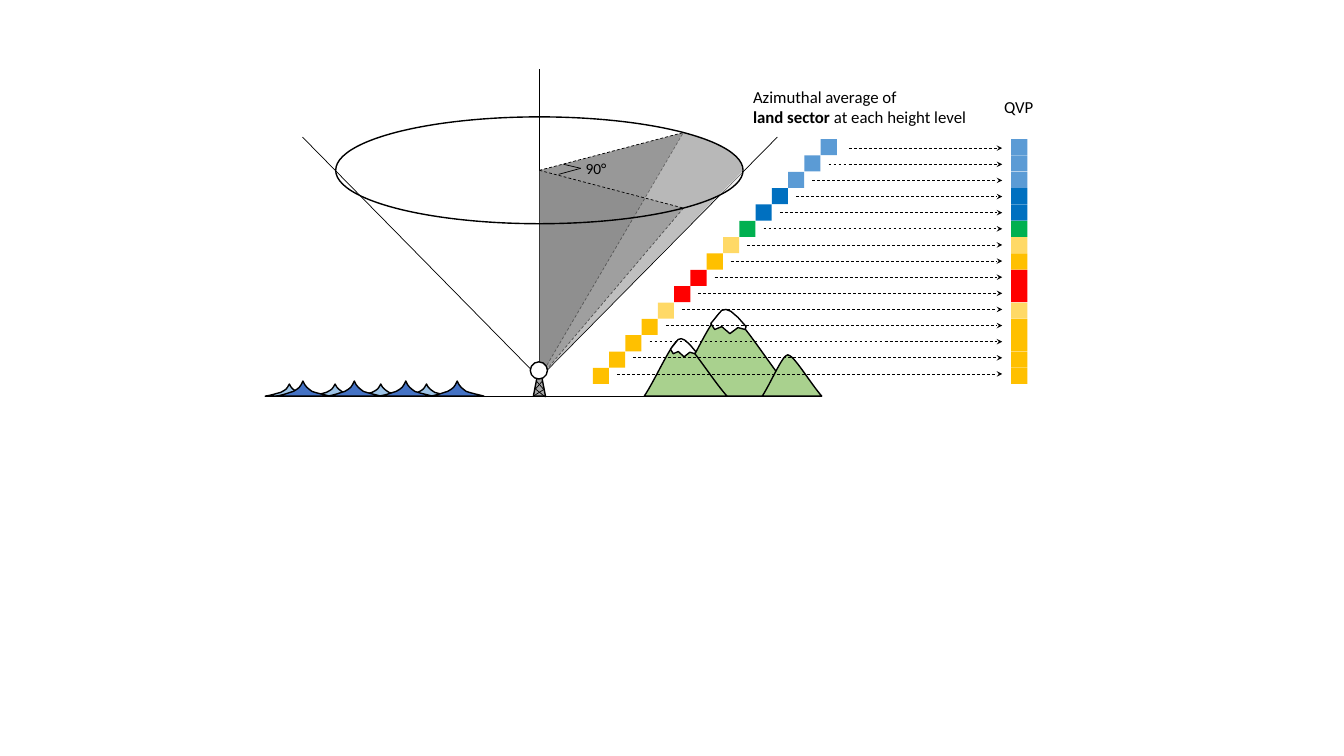
import math

from lxml import etree
from pptx import Presentation
from pptx.dml.color import RGBColor
from pptx.enum import dml, shapes, text
from pptx.oxml import ns
from pptx.util import Inches, Pt

BLACK = RGBColor(0x00, 0x00, 0x00)
WHITE = RGBColor(0xFF, 0xFF, 0xFF)
PALE_GREY = RGBColor(0xE7, 0xE6, 0xE6)
MAST_GREY = RGBColor(0xA6, 0xA6, 0xA6)
MID_GREY = RGBColor(0x80, 0x80, 0x80)
DARK_GREY = RGBColor(0x40, 0x40, 0x40)
LAND_GREEN = RGBColor(0xA9, 0xD1, 0x8E)
PALE_WAVE = RGBColor(0x9D, 0xC3, 0xE6)
DEEP_WAVE = RGBColor(0x44, 0x72, 0xC4)
SKY = RGBColor(0x5B, 0x9B, 0xD5)
BLUE = RGBColor(0x00, 0x70, 0xC0)
GREEN = RGBColor(0x00, 0xB0, 0x50)
YELLOW = RGBColor(0xFF, 0xD9, 0x66)
AMBER = RGBColor(0xFF, 0xC0, 0x00)
RED = RGBColor(0xFF, 0x00, 0x00)

FONT = "Calibri"
GROUND = 3.93
AXIS_X, RIM_Y = 5.35, 1.69
RIM_RADIUS_X, RIM_RADIUS_Y = 2.02, 0.53
LEVELS = [SKY] * 3 + [BLUE] * 2 + [GREEN, YELLOW, AMBER] + [RED] * 2 + [YELLOW] + [AMBER] * 4
CELL = 0.16

MOUNTAIN = [(0, 1), (0.15, 0.67, 0.34, 0, 0.43, 0), (0.53, 0, 0.8, 0.67, 1, 1)]
SNOW = [(0, 0.58), (0.11, 0.83), (0.31, 0.71), (0.54, 1), (0.77, 0.75), (0.97, 0.83), (1, 0.71),
        (0.77, 0.33), (0.57, 0.08), (0.43, 0), (0.31, 0.04), (0.23, 0.17), (0.09, 0.42)]
WAVE = [(0, 1), (0.18, 0.88, 0.19, 0.82, 0.32, 0.69), (0.44, 0.44, 0.44, 0.44, 0.5, 0),
        (0.54, 0.38, 0.6, 0.5, 0.67, 0.69), (0.78, 0.82, 0.87, 0.88, 1, 1)]


def paint(shape, fill=None, outlined=True, opacity=None):
    shape.shadow.inherit = False
    if fill is None:
        shape.fill.background()
    else:
        shape.fill.solid()
        shape.fill.fore_color.rgb = fill
    if opacity is not None:
        color = shape.fill._xPr.find(".//" + ns.qn("a:srgbClr"))
        etree.SubElement(color, ns.qn("a:alpha")).set("val", str(opacity * 1000))
    if outlined:
        shape.line.color.rgb = BLACK
        shape.line.width = Pt(1)
    else:
        shape.line.fill.background()


def bend_segments(shape, outline):
    segments = iter(shape._element.findall(".//" + ns.qn("a:lnTo")))
    for part in outline[1:]:
        first = next(segments)
        if len(part) == 6:
            first.tag = ns.qn("a:cubicBezTo")
            for _ in range(2):
                following = next(segments)
                first.append(following[0])
                following.getparent().remove(following)


def add_outline(page, outline, fill, frame=(0, 0, 1, 1), outlined=True, opacity=None):
    left, top, width, height = frame
    places = [(Inches(left + x * width), Inches(top + y * height))
              for part in outline for x, y in zip(part[::2], part[1::2])]
    builder = page.shapes.build_freeform(*places[0])
    builder.add_line_segments(places[1:], close=True)
    shape = builder.convert_to_shape()
    bend_segments(shape, outline)
    paint(shape, fill, outlined, opacity)


def add_figure(page, kind, frame, fill=None, outlined=True):
    shape = page.shapes.add_shape(kind, *map(Inches, frame))
    paint(shape, fill, outlined)


def add_line(page, start, end, dashed=False, arrow=False):
    line = page.shapes.add_connector(shapes.MSO_CONNECTOR.STRAIGHT, *map(Inches, start + end))
    line.line.color.rgb = BLACK
    line.line.width = Pt(0.5)
    if dashed:
        line.line.dash_style = dml.MSO_LINE.DASH
    if arrow:
        head = etree.SubElement(line.line._get_or_add_ln(), ns.qn("a:tailEnd"))
        for name, value in (("type", "stealth"), ("w", "sm"), ("len", "sm")):
            head.set(name, value)
    etree.SubElement(line._element.spPr, ns.qn("a:effectLst"))


def add_label(page, frame, paragraphs, size, wrap=False):
    box = page.shapes.add_textbox(*map(Inches, frame))
    box.text_frame.word_wrap = wrap
    box.text_frame.auto_size = text.MSO_AUTO_SIZE.SHAPE_TO_FIT_TEXT
    for index, spans in enumerate(paragraphs):
        para = box.text_frame.paragraphs[0] if index == 0 else box.text_frame.add_paragraph()
        for words, bold in spans:
            span = para.add_run()
            span.text = words
            span.font.name = FONT
            span.font.size = Pt(size)
            span.font.bold = bold
            span.font.color.rgb = BLACK


def add_mountains(page):
    ranges = [((6.66, 3.08, 1.23, 0.85), (7.05, 3.07, 0.35, 0.24)),
              ((6.39, 3.37, 0.82, 0.56), (6.65, 3.36, 0.25, 0.18)),
              ((7.56, 3.52, 0.59, 0.41), None)]
    for mountain, snow in ranges:
        add_outline(page, MOUNTAIN, LAND_GREEN, mountain)
        if snow:
            add_outline(page, SNOW, WHITE, snow)


def rim_point(degrees, pull=0):
    angle = math.radians(degrees)
    return (AXIS_X + RIM_RADIUS_X * (math.cos(angle) - pull * math.sin(angle)),
            RIM_Y + RIM_RADIUS_Y * (math.sin(angle) + pull * math.cos(angle)))


def rim_arc(first, last):
    pull = 4 / 3 * math.tan(math.radians(last - first) / 4)
    return rim_point(first, pull) + rim_point(last, -pull) + rim_point(last)


def add_scan_cone(page):
    center, radar = (AXIS_X, RIM_Y), (AXIS_X, 3.75)
    far, near = rim_point(-45), rim_point(45)
    back_arc, front_arc = rim_arc(-45, 0), rim_arc(0, 45)
    add_line(page, (3.03, GROUND), (7.73, GROUND))
    for end in ((AXIS_X, 0.68), (7.71, 1.36), (3, 1.36)):
        add_line(page, radar, end)
    for end in (far, near):
        add_line(page, radar, end, dashed=True)
    faces = [([center, far, back_arc, front_arc], PALE_GREY), ([radar, far, back_arc], MID_GREY),
             ([far, center, radar], DARK_GREY), ([center, radar, near], MID_GREY)]
    for outline, fill in faces:
        add_outline(page, outline, fill, outlined=False, opacity=50)
    for end in (near, far):
        add_line(page, center, end, dashed=True)
    for start in ((5.59, 1.63), (5.54, 1.73)):
        add_line(page, start, (5.76, 1.67))
    add_label(page, (5.71, 1.53, 0.42, 0.29), [[("90°", None)]], 11)


def add_profile(page):
    steps = len(LEVELS) - 1
    for level, color in enumerate(LEVELS):
        top = 1.38 + level * 2.27 / steps
        left = 8.14 - level * 2.26 / steps
        for cell_left in (10.03, left):
            add_figure(page, shapes.MSO_SHAPE.RECTANGLE, (cell_left, top, CELL, CELL), color, False)
    for level in range(len(LEVELS)):
        arrow_y = 1.47 + level * CELL
        arrow_start = 8.14 - level * 2.26 / steps + (0.24 if level else 0.28)
        add_line(page, (arrow_start, arrow_y), (9.94, arrow_y), dashed=True, arrow=True)


def add_sea(page):
    rows = [(2.63, 1.36, 0.48, 0.12, PALE_WAVE), (2.74, 1.53, 0.53, 0.15, DEEP_WAVE)]
    for left, span, width, height, fill in rows:
        for index in range(4):
            frame = (left + index * span / 3, GROUND - height, width, height)
            add_outline(page, WAVE, fill, frame)


def add_radar(page):
    add_figure(page, shapes.MSO_SHAPE.ISOSCELES_TRIANGLE, (5.29, 3.62, 0.12, 0.31), MAST_GREY)
    add_figure(page, shapes.MSO_SHAPE.OVAL, (5.26, 3.59, 0.17, 0.17), WHITE)
    braces = [((5.32, 3.78), (5.39, 3.86)), ((5.38, 3.78), (5.31, 3.86)),
              ((5.4, 3.86), (5.29, 3.93)), ((5.3, 3.85), (5.41, 3.94))]
    for start, end in braces:
        add_line(page, start, end)


def main():
    deck = Presentation()
    deck.slide_width, deck.slide_height = Inches(13.33), Inches(7.5)
    page = deck.slides.add_slide(deck.slide_layouts[6])
    add_mountains(page)
    add_scan_cone(page)
    add_profile(page)
    add_sea(page)
    add_radar(page)
    add_figure(page, shapes.MSO_SHAPE.OVAL, (3.33, 1.16, 2 * RIM_RADIUS_X, 2 * RIM_RADIUS_Y))
    add_label(page, (9.86, 0.91, 0.5, 0.3), [[("QVP", None)]], 12)
    add_label(page, (7.37, 0.81, 2.35, 0.5),
              [[("Azimuthal average of", None)],
               [("land sector ", True), ("at each height level", False)]], 12, wrap=True)
    deck.save("out.pptx")


if __name__ == "__main__":
    main()
